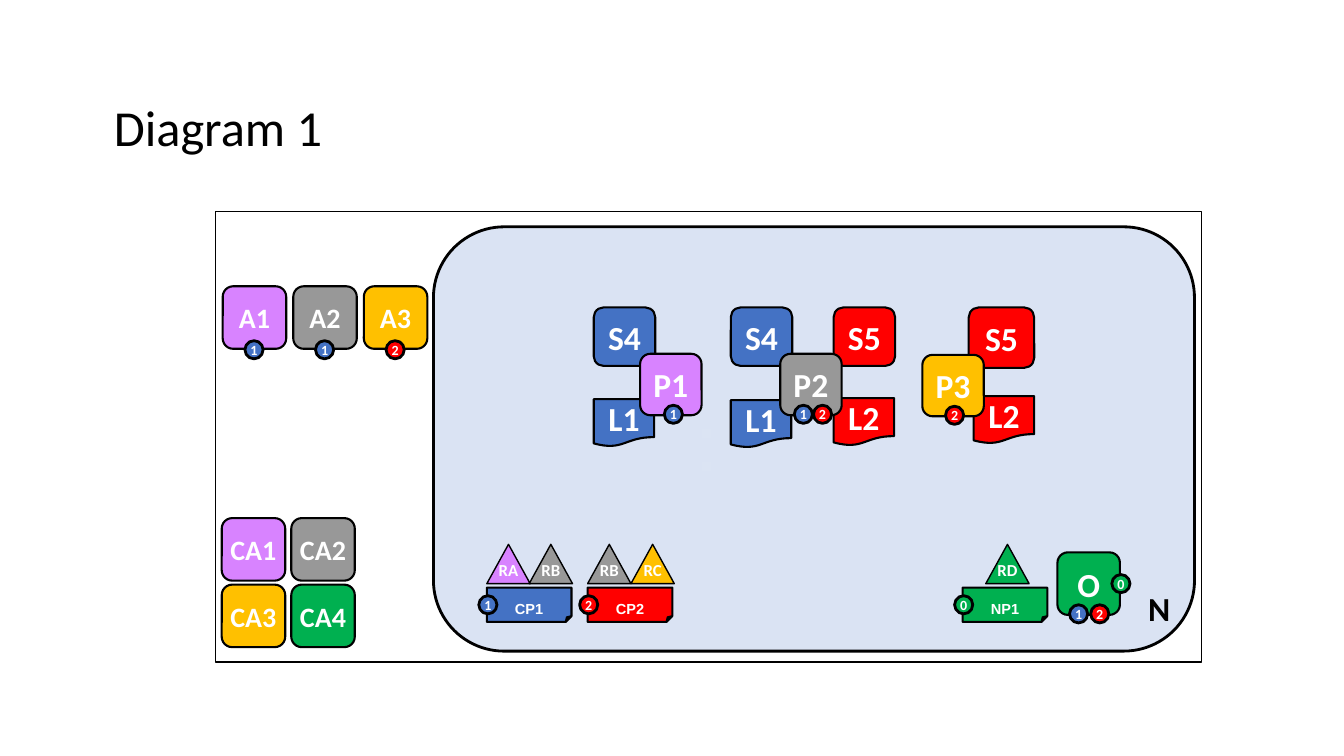
from dataclasses import dataclass
from typing import Any, Optional

from pptx import Presentation
from pptx import util as u
from pptx.dml.color import RGBColor
from pptx.enum import shapes, text

M = shapes.MSO_SHAPE
Insets = tuple[float, float, float, float]


@dataclass(frozen=True)
class Theme:
    black: str = "000000"
    white: str = "FFFFFF"
    network: str = "DAE3F3"
    patch: str = "DBE4F3"
    purple: str = "D883FF"
    gray: str = "989898"
    gold: str = "FFC000"
    green: str = "00B050"
    blue: str = "4472C4"
    red: str = "FF0000"
    body: str = "Calibri"
    policy: str = "Arial"
    title_size: int = 36
    node_size: int = 24
    app_size: int = 20
    policy_size: int = 18
    resource_size: int = 12
    badge_size: int = 10


T = Theme()


@dataclass(frozen=True)
class Style:
    kind: Any
    cols: float
    rows: float
    size: int = T.node_size
    line: float = 1.5
    insets: Insets = (1, 0.5, 1, 0.5)
    font: str = T.body
    baseline: int = 0


@dataclass(frozen=True)
class Item:
    style: Style
    col: float
    row: float
    label: str
    fill: Optional[str]


NETWORK = Style(M.ROUNDED_RECTANGLE, 75.5, 42.1, line=2)
FRAME = Style(M.RECTANGLE, 97.8, 44.7, line=1)
PATCH = Style(M.RECTANGLE, 1, 1, line=0)
APP = Style(M.ROUNDED_RECTANGLE, 6.3, 6.2, T.app_size)
AUTHORITY = Style(M.ROUNDED_RECTANGLE, 6.3, 6.2, T.app_size, insets=(0.4, 0.5, 0.4, 0.5))
PEER = Style(M.ROUNDED_RECTANGLE, 6.1, 6.1)
ORDERER = Style(M.ROUNDED_RECTANGLE, 6.2, 6.2)
CONTRACT = Style(M.ROUNDED_RECTANGLE, 6.1, 5.8)
WIDE_CONTRACT = Style(M.ROUNDED_RECTANGLE, 6.5, 6)
LEDGER = Style(M.FLOWCHART_DOCUMENT, 6, 4.7)
BADGE = Style(M.OVAL, 1.8, 1.8, T.badge_size, 2, (0, 0, 0, 0))
RESOURCE = Style(M.ISOSCELES_TRIANGLE, 4.3, 3.9, T.resource_size, 1, (0, 0.5, 0, 1.2))
POLICY = Style(M.FOLDED_CORNER, 8.4, 3.4, T.policy_size, 1.5, (0.4, 0.5, 0.4, 0.8),
               T.policy, -25000)
CHANNELS = {"0": T.green, "1": T.blue, "2": T.red}


def grid(n: float) -> u.Emu:
    return u.Inches(n / 10)


def write(tf: Any, label: str, *, size: int, color: str, font: str = T.body,
          bold: bool = True, align: Any = text.PP_ALIGN.CENTER,
          anchor: Any = text.MSO_ANCHOR.MIDDLE, insets: Insets = (1, 0.5, 1, 0.5),
          wrap: bool = False, baseline: int = 0, spacing: float = 1.0) -> None:
    tf.word_wrap = wrap
    tf.vertical_anchor = anchor
    tf.margin_left, tf.margin_top, tf.margin_right, tf.margin_bottom = map(grid, insets)
    p = tf.paragraphs[0]
    p.alignment = align
    p.line_spacing = spacing
    r = p.add_run()
    r.text = label
    r.font.name, r.font.size, r.font.bold = font, u.Pt(size), bold
    r.font.color.rgb = RGBColor.from_string(color)
    if baseline:
        r.font._element.set("baseline", str(baseline))


def draw(parent: Any, item: Item) -> None:
    s = item.style
    sp = parent.shapes.add_shape(s.kind, *map(grid, (item.col, item.row, s.cols, s.rows)))
    sp.shadow.inherit = False
    if item.fill:
        sp.fill.solid()
        sp.fill.fore_color.rgb = RGBColor.from_string(item.fill)
    else:
        sp.fill.background()
    if s.line:
        sp.line.color.rgb = RGBColor.from_string(T.black)
        sp.line.width = u.Pt(s.line)
    else:
        sp.line.fill.background()
    if item.label:
        write(sp.text_frame, item.label, size=s.size, color=T.white, font=s.font,
              insets=s.insets, baseline=s.baseline)


def draw_group(slide: Any, items: list[Item]) -> None:
    group = slide.shapes.add_group_shape()
    for item in items:
        draw(group, item)


def badge(col: float, row: float, channel: str) -> Item:
    return Item(BADGE, col, row, channel, CHANNELS[channel])


def policy(col: float, label: str, channel: str, resources: list[Item]) -> list[Item]:
    return [Item(POLICY, col, 58.3, label, CHANNELS[channel]), *resources,
            badge(col - 0.8, 59.1, channel)]


def resource(col: float, label: str, fill: str) -> Item:
    return Item(RESOURCE, col, 54, label, fill)


def text_box(slide: Any, box: Insets, label: str, **fmt: Any) -> None:
    tb = slide.shapes.add_textbox(*map(grid, box))
    write(tb.text_frame, label, color=T.black, **fmt)


prs = Presentation()
prs.slide_width, prs.slide_height = grid(133.33), grid(75)
s = prs.slides.add_slide(prs.slide_layouts[6])

draw(s, Item(NETWORK, 43, 22.5, "", T.network))
text_box(s, (112.8, 57.8, 4.4, 5), "N", size=T.node_size, anchor=text.MSO_ANCHOR.TOP)
draw(s, Item(FRAME, 21.4, 21, "", None))
text_box(s, (10.8, 5.7, 115, 14.5), "Diagram 1", size=T.title_size, bold=False,
         align=text.PP_ALIGN.LEFT, insets=(0.5, 0.5, 0.5, 0.5), wrap=True, spacing=0.9)

apps = [("A1", T.purple, "1"), ("A2", T.gray, "1"), ("A3", T.gold, "2")]
for i, (label, fill, channel) in enumerate(apps):
    col = 22.1 + 7 * i
    draw(s, Item(APP, col, 28.4, label, fill))
    draw(s, badge(col + 2.2, 33.8, channel))

for i, fill in enumerate((T.purple, T.gray, T.gold, T.green)):
    row, col = divmod(i, 2)
    draw(s, Item(AUTHORITY, 22 + 6.9 * col, 51.4 + 6.6 * row, f"CA{i + 1}", fill))

peers = [
    *(Item(PATCH, 69.6, row, "", T.patch) for row in (42.5, 45.8)),
    Item(LEDGER, 96.6, 39.3, "L2", T.red),
    Item(WIDE_CONTRACT, 96.1, 30.5, "S5", T.red),
    Item(PEER, 91.5, 35.2, "P3", T.gold),
    badge(93.8, 40.3, "2"),
    Item(LEDGER, 58.9, 39.6, "L1", T.blue),
    Item(CONTRACT, 58.9, 30.5, "S4", T.blue),
    Item(PEER, 63.5, 35.1, "P1", T.purple),
    badge(65.9, 40.2, "1"),
    Item(LEDGER, 72.5, 39.7, "L1", T.blue),
    Item(LEDGER, 82.7, 39.5, "L2", T.red),
    Item(CONTRACT, 72.5, 30.5, "S4", T.blue),
    Item(CONTRACT, 82.7, 30.5, "S5", T.red),
    Item(PEER, 77.4, 35.1, "P2", T.gray),
    badge(78.8, 40.2, "1"),
    badge(80.7, 40.2, "2"),
]
orderer = [
    Item(ORDERER, 104.9, 54.8, "O", T.green),
    badge(108.2, 60, "2"),
    badge(106.1, 60, "1"),
    badge(110.3, 57, "0"),
]
policies = [
    policy(95.5, "NP1", "0", [resource(97.8, "RD", T.green)]),
    policy(48.3, "CP1", "1", [resource(48.3, "RA", T.purple), resource(52.5, "RB", T.gray)]),
    policy(58.3, "CP2", "2", [resource(58.3, "RB", T.gray), resource(62.6, "RC", T.gold)]),
]
for items in (peers, orderer, *policies):
    draw_group(s, items)

prs.save("out.pptx")
